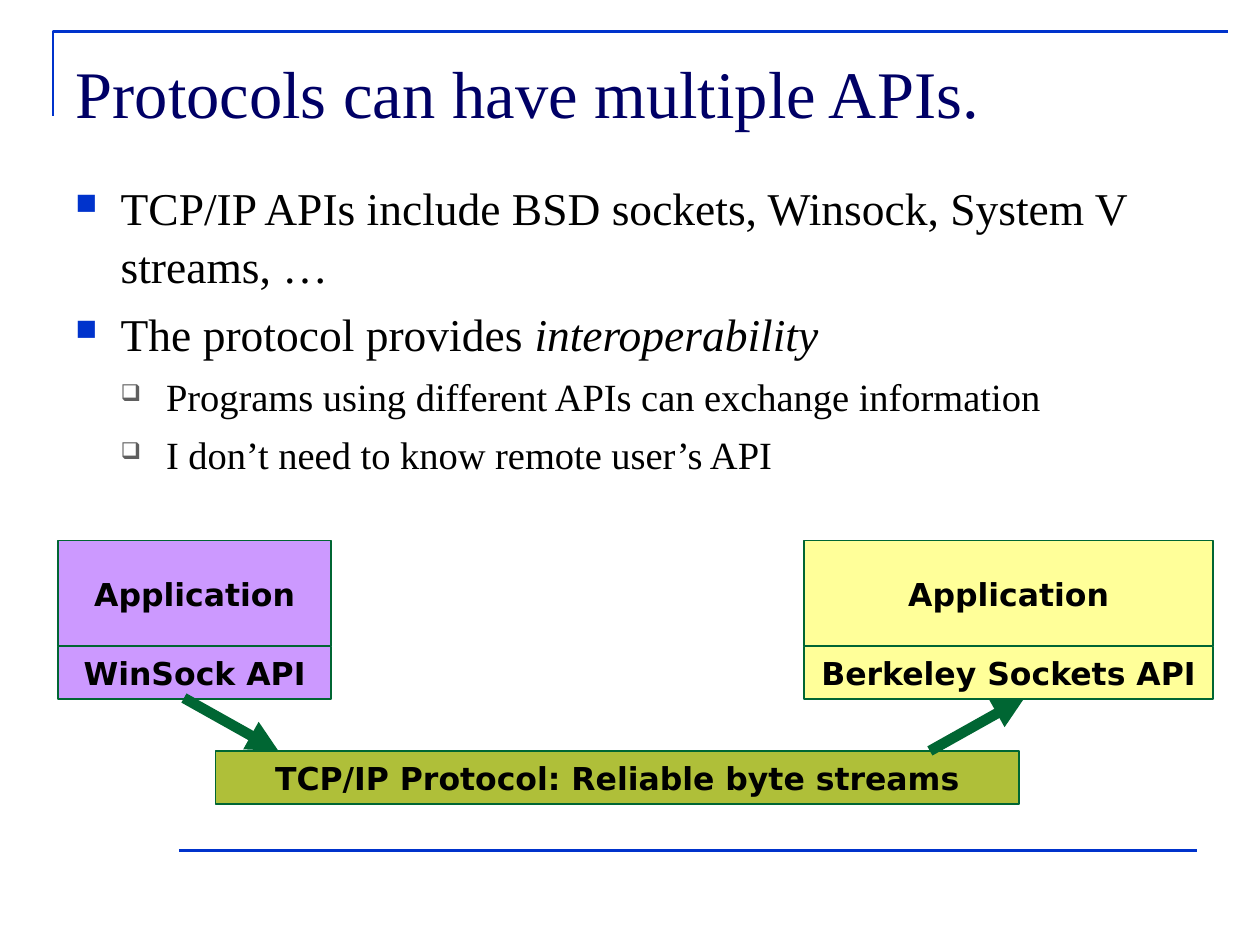
from lxml import etree
from pptx import Presentation
from pptx.dml.color import RGBColor
from pptx.enum.shapes import MSO_CONNECTOR, MSO_SHAPE
from pptx.enum.text import MSO_ANCHOR, MSO_AUTO_SIZE, PP_ALIGN
from pptx.oxml.ns import qn
from pptx.util import Inches, Pt

LEFT, CENTER = PP_ALIGN.LEFT, PP_ALIGN.CENTER
TOP, MIDDLE = MSO_ANCHOR.TOP, MSO_ANCHOR.MIDDLE
NO_AUTOSIZE = MSO_AUTO_SIZE.NONE
RECT, STRAIGHT = MSO_SHAPE.RECTANGLE, MSO_CONNECTOR.STRAIGHT

BLUE = RGBColor(0x00, 0x33, 0xCC)
NAVY = RGBColor(0x00, 0x00, 0x66)
BLACK = RGBColor(0x00, 0x00, 0x00)
GRAY = RGBColor(0x5F, 0x5F, 0x5F)
GREEN = RGBColor(0x00, 0x66, 0x33)
OLIVE = RGBColor(0xAF, 0xBF, 0x39)
PURPLE = RGBColor(0xCC, 0x99, 0xFF)
YELLOW = RGBColor(0xFF, 0xFF, 0x99)

SERIF, SANS = "Times New Roman", "DejaVu Sans"

LEVELS = [
    dict(size=26, before=6.5, char="■", color=BLUE, percent=65),
    dict(size=22, before=5.5, char="❑", color=GRAY, percent=60),
]
BULLETS = [
    (0, [("TCP/IP APIs include BSD sockets, Winsock, System V streams, …", False)]),
    (0, [("The protocol provides ", False), ("interoperability", True)]),
    (1, [("Programs using different APIs can exchange information", False)]),
    (1, [("I don’t need to know remote user’s API", False)]),
]


def add_text(p, text, size, font=SERIF, color=BLACK, bold=False, italic=False, align=LEFT):
    p.alignment = align
    r = p.add_run()
    r.text = text
    r.font.size = Pt(size)
    r.font.name = font
    r.font.color.rgb = color
    r.font.bold = bold
    r.font.italic = italic


def set_frame(tf, anchor, top=0.05, wrap=True):
    tf.auto_size = NO_AUTOSIZE
    tf.word_wrap = wrap
    tf.vertical_anchor = anchor
    tf.margin_left = tf.margin_right = Inches(0.1)
    tf.margin_top, tf.margin_bottom = Inches(top), Inches(0.05)


def add_line(s, start, end, color, width, arrow=False):
    line = s.shapes.add_connector(STRAIGHT, *(Inches(v) for v in (*start, *end)))
    line.line.color.rgb = color
    line.line.width = Pt(width)
    if arrow:
        etree.SubElement(line.line._get_or_add_ln(), qn("a:tailEnd"), type="triangle")
    etree.SubElement(line._element.spPr, qn("a:effectLst"))


def add_frame_lines(s, left, top, right, bottom):
    builder = s.shapes.build_freeform(Inches(left), Inches(top + 0.67))
    corner = [(Inches(left), Inches(top)), (Inches(right), Inches(top))]
    builder.add_line_segments(corner, close=False)
    sp = builder.convert_to_shape()
    sp.shadow.inherit = False
    sp.fill.background()
    sp.line.color.rgb = BLUE
    sp.line.width = Pt(1.5)
    add_line(s, (left + 1, bottom), (right - 0.25, bottom), BLUE, 1.5)


def add_title(s, text, left, top, width, height):
    title = s.shapes.title
    title.left, title.top = Inches(left), Inches(top)
    title.width, title.height = Inches(width), Inches(height)
    set_frame(title.text_frame, TOP, top=0.11)
    add_text(title.text_frame.paragraphs[0], text, 38, color=NAVY)


def set_bullet(p, level, char, color, percent):
    pPr = p._p.get_or_add_pPr()
    pPr.set("marL", str(Inches(0.36 * (level + 1))))
    pPr.set("indent", str(Inches(-0.36)))
    fill = etree.SubElement(pPr, qn("a:buClr"))
    etree.SubElement(fill, qn("a:srgbClr"), val=str(color))
    etree.SubElement(pPr, qn("a:buSzPct"), val=str(percent * 1000))
    etree.SubElement(pPr, qn("a:buChar"), char=char)


def add_body(s, bullets, left, top, width, height):
    box = s.shapes.add_textbox(Inches(left), Inches(top), Inches(width), Inches(height))
    tf = box.text_frame
    set_frame(tf, TOP, top=0.08)
    for i, (level, runs) in enumerate(bullets):
        p = tf.add_paragraph() if i else tf.paragraphs[0]
        style = LEVELS[level]
        p.level = level
        p.line_spacing = 1.05
        p.space_before = Pt(style["before"] if i else 0)
        set_bullet(p, level, style["char"], style["color"], style["percent"])
        for text, italic in runs:
            add_text(p, text, style["size"], italic=italic)


def add_box(s, text, fill, left, top, width, height):
    sp = s.shapes.add_shape(RECT, Inches(left), Inches(top), Inches(width), Inches(height))
    sp.shadow.inherit = False
    sp.fill.solid()
    sp.fill.fore_color.rgb = fill
    sp.line.color.rgb = GREEN
    sp.line.width = Pt(1)
    set_frame(sp.text_frame, MIDDLE, wrap=False)
    add_text(sp.text_frame.paragraphs[0], text, 18, font=SANS, bold=True, align=CENTER)


def add_stack(s, api, fill, left, top, width):
    add_box(s, api, fill, left, top + 0.84, width, 0.42)
    add_box(s, "Application", fill, left, top, width, 0.84)


def add_diagram(s, left, top):
    api_bottom, protocol_top = top + 1.25, top + 1.67
    add_box(s, "TCP/IP Protocol: Reliable byte streams", OLIVE,
            left + 1.25, protocol_top, 6.38, 0.42)
    add_stack(s, "WinSock API", PURPLE, left, top, 2.17)
    add_stack(s, "Berkeley Sockets API", YELLOW, left + 5.92, top, 3.25)
    add_line(s, (left + 1, api_bottom), (left + 1.75, protocol_top), GREEN, 6, arrow=True)
    add_line(s, (left + 6.92, protocol_top), (left + 7.67, api_bottom), GREEN, 6, arrow=True)


def main():
    prs = Presentation()
    prs.slide_width, prs.slide_height = Inches(10), Inches(7.5)
    s = prs.slides.add_slide(prs.slide_layouts[5])
    add_frame_lines(s, 0.42, 0.25, 9.75, 6.75)
    add_title(s, "Protocols can have multiple APIs.", 0.5, 0.3, 8.58, 0.95)
    add_body(s, BULLETS, 0.5, 1.33, 9, 5.37)
    add_diagram(s, 0.46, 4.29)
    prs.save("out.pptx")


if __name__ == "__main__":
    main()
